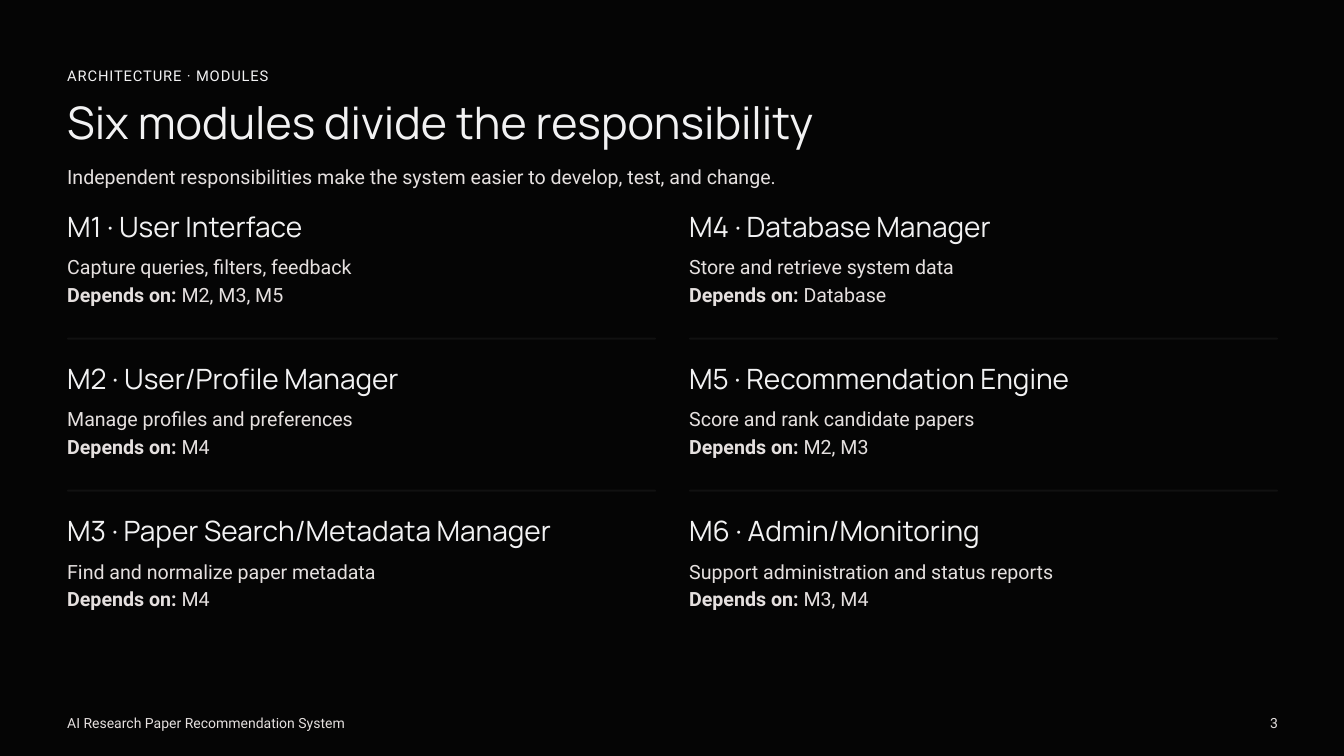
"""Build the slide that lists the six system modules."""
from lxml.etree import SubElement
from pptx import Presentation
from pptx.dml.color import RGBColor
from pptx.enum.shapes import MSO_SHAPE
from pptx.enum.text import MSO_ANCHOR, MSO_AUTO_SIZE
from pptx.oxml.ns import qn
from pptx.util import Cm, Pt

KICKER = "ARCHITECTURE · MODULES"
TITLE = "Six modules divide the responsibility"
SUBTITLE = "Independent responsibilities make the system easier to develop, test, and change."
FOOTER = "AI Research Paper Recommendation System"
PAGE_NUMBER = "3"
MODULES = [
    ("M1 · User Interface", "Capture queries, filters, feedback", "M2, M3, M5"),
    ("M2 · User/Profile Manager", "Manage profiles and preferences", "M4"),
    ("M3 · Paper Search/Metadata Manager", "Find and normalize paper metadata", "M4"),
    ("M4 · Database Manager", "Store and retrieve system data", "Database"),
    ("M5 · Recommendation Engine", "Score and rank candidate papers", "M2, M3"),
    ("M6 · Admin/Monitoring", "Support administration and status reports", "M3, M4"),
]

BACKGROUND = RGBColor(0x05, 0x05, 0x05)
HEADING_COLOR = RGBColor(0xF2, 0xF2, 0xF3)
BODY_COLOR = RGBColor(0xE5, 0xE0, 0xDF)
RULE_COLOR = RGBColor(0xFF, 0xFF, 0xFF)
RULE_OPACITY = 5

MARGIN = 2.54
ROWS = 3
COLUMN_WIDTH = 22.25
COLUMN_STEP = 23.51
ROW_TOP = 8.03
ROW_STEP = 5.75


def add_text(slide, text, left, top, width, height, *, size, line, font="Roboto",
             color=BODY_COLOR, spacing=None, middle=False):
    """Add a text box; text is a string or a list of paragraphs of (words, bold) runs."""
    shape = slide.shapes.add_textbox(Cm(left), Cm(top), Cm(width), Cm(height))
    frame = shape.text_frame
    frame.word_wrap = True
    frame.margin_left = frame.margin_right = frame.margin_top = frame.margin_bottom = 0
    frame.auto_size = MSO_AUTO_SIZE.NONE if middle else MSO_AUTO_SIZE.SHAPE_TO_FIT_TEXT
    frame.vertical_anchor = MSO_ANCHOR.MIDDLE if middle else MSO_ANCHOR.TOP
    paragraphs = [[(text, False)]] if isinstance(text, str) else text
    for index, runs in enumerate(paragraphs):
        paragraph = frame.add_paragraph() if index else frame.paragraphs[0]
        paragraph.line_spacing = Pt(line)
        for words, bold in runs:
            run = paragraph.add_run()
            run.text = words
            run.font.name = font
            run.font.size = Pt(size)
            run.font.bold = bold
            run.font.color.rgb = color
            if spacing:
                run.font._element.set("spc", str(round(spacing * 100)))


def add_rule(slide, left, top):
    """Add a faint rounded bar below a module."""
    shape = slide.shapes.add_shape(
        MSO_SHAPE.ROUNDED_RECTANGLE, Cm(left), Cm(top), Cm(COLUMN_WIDTH), Cm(0.08))
    shape.adjustments[0] = 0.5
    shape.shadow.inherit = False
    shape.line.fill.background()
    shape.fill.solid()
    shape.fill.fore_color.rgb = RULE_COLOR
    color = shape._element.spPr.find(qn("a:solidFill"))[0]
    SubElement(color, qn("a:alpha"), val=str(RULE_OPACITY * 1000))


def add_module(slide, module, left, top):
    """Add the name, task and dependencies of one module."""
    name, task, dependencies = module
    add_text(slide, name, left, top, COLUMN_WIDTH, 1.17,
             size=30, line=33.1, font="Manrope", color=HEADING_COLOR)
    details = [[(task, False)], [("Depends on:", True), (f" {dependencies}", False)]]
    add_text(slide, details, left, top + 1.47, COLUMN_WIDTH, 2.64, size=21, line=29.5)


def main():
    """Build and save the presentation."""
    presentation = Presentation()
    presentation.slide_width = Cm(50.8)
    presentation.slide_height = Cm(28.58)
    slide = presentation.slides.add_slide(presentation.slide_layouts[6])
    slide.background.fill.solid()
    slide.background.fill.fore_color.rgb = BACKGROUND

    add_text(slide, KICKER, MARGIN, 2.41, 48.26, 0.91,
             size=15.8, line=22.1, color=HEADING_COLOR, spacing=0.9)
    add_text(slide, TITLE, MARGIN, 3.73, 45.75, 1.88,
             size=48, line=53, font="Manrope", color=HEADING_COLOR)
    add_text(slide, SUBTITLE, MARGIN, 6.1, 48.26, 1.17, size=21, line=29.5)

    for index, module in enumerate(MODULES):
        column, row = divmod(index, ROWS)
        left = MARGIN + column * COLUMN_STEP
        top = ROW_TOP + row * ROW_STEP
        add_module(slide, module, left, top)
        if row < ROWS - 1:
            add_rule(slide, left, top + 4.73)

    add_text(slide, FOOTER, MARGIN, 26.87, 12.73, 0.81, size=15, line=21.1, middle=True)
    add_text(slide, PAGE_NUMBER, 48.01, 26.87, 2.79, 0.81, size=15, line=21.1, middle=True)
    presentation.save("out.pptx")


if __name__ == "__main__":
    main()
